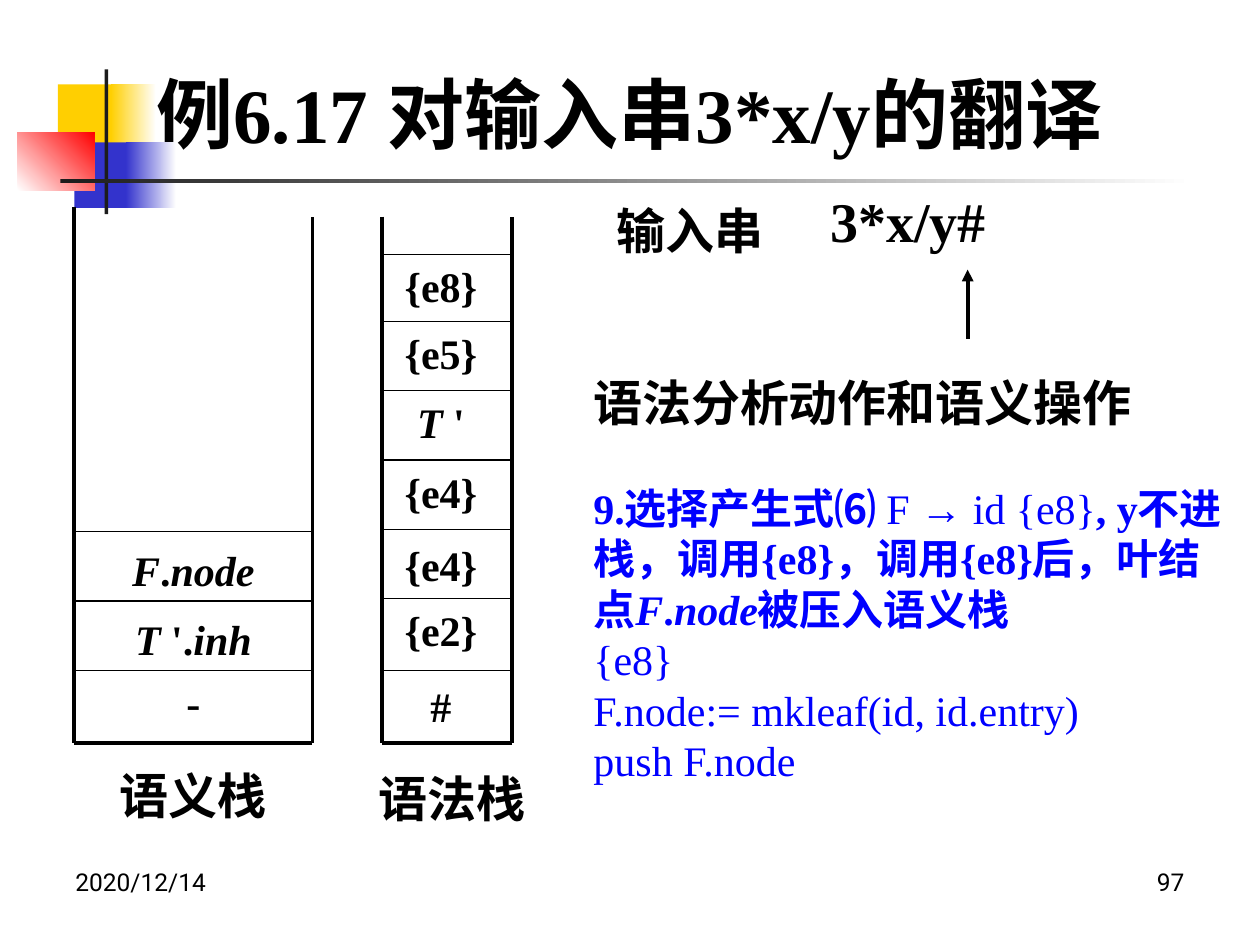
from lxml.etree import SubElement
from pptx import Presentation
from pptx.dml.color import RGBColor
from pptx.enum.shapes import MSO_CONNECTOR, MSO_SHAPE
from pptx.enum.text import MSO_ANCHOR, MSO_AUTO_SIZE, PP_ALIGN
from pptx.oxml.ns import qn
from pptx.util import Inches, Pt

BLACK = RGBColor(0x00, 0x00, 0x00)
WHITE = RGBColor(0xFF, 0xFF, 0xFF)
DARK = RGBColor(0x1C, 0x1C, 0x1C)
GOLD = RGBColor(0xFF, 0xCF, 0x01)
INDIGO = RGBColor(0x33, 0x33, 0xCC)
RED = RGBColor(0xFF, 0x00, 0x00)
BLUE = RGBColor(0x00, 0x00, 0xFF)

LEFT, MID, RIGHT = PP_ALIGN.LEFT, PP_ALIGN.CENTER, PP_ALIGN.RIGHT
FLOOR = 5.9


class Deck:
    """Style and current slide; every length is in inches."""

    def __init__(self):
        self.file = Presentation()
        self.file.slide_width = Inches(10)
        self.file.slide_height = Inches(7.5)
        self.slide = self.file.slides.add_slide(self.file.slide_layouts[1])
        self.shapes = self.slide.shapes

    def block(self, x, y, w, h, color, end=None, angle=0):
        """Draw a borderless bar, fading to the end colour if there is one."""
        bar = self.shapes.add_shape(MSO_SHAPE.RECTANGLE, Inches(x), Inches(y), Inches(w), Inches(h))
        bar.shadow.inherit = False
        bar.line.fill.background()
        if end is None:
            bar.fill.solid()
            bar.fill.fore_color.rgb = color
        else:
            bar.fill.gradient()
            bar.fill.gradient_angle = angle
            for stop, tint in zip(bar.fill.gradient_stops, (color, end)):
                stop.color.rgb = tint

    def line(self, x1, y1, x2, y2, width=2.25, arrow=False):
        link = self.shapes.add_connector(
            MSO_CONNECTOR.STRAIGHT, Inches(x1), Inches(y1), Inches(x2), Inches(y2))
        link.line.color.rgb = BLACK
        link.line.width = Pt(width)
        props = link._element.spPr
        if arrow:
            SubElement(props.find(qn("a:ln")), qn("a:headEnd"), type="triangle")
        SubElement(props, qn("a:effectLst"))

    def fill(self, box, paras, size, align=LEFT, color=BLACK, face="Times New Roman"):
        """Fill a shape with paragraphs of (text, marks) runs; marks hold b and i."""
        frame = box.text_frame
        frame.word_wrap = True
        frame.auto_size = MSO_AUTO_SIZE.NONE
        frame.vertical_anchor = MSO_ANCHOR.TOP
        for n, runs in enumerate(paras):
            para = frame.add_paragraph() if n else frame.paragraphs[0]
            para.alignment = align
            para.space_before = Pt(0)
            if box.is_placeholder:
                props = para._p.get_or_add_pPr()
                props.set("marL", "0")
                props.set("indent", "0")
                SubElement(props, qn("a:buNone"))
            for text, marks in runs:
                run = para.add_run()
                run.text = text
                font = run.font
                font.name, font.size = face, Pt(size)
                font.bold, font.italic = "b" in marks, "i" in marks
                font.color.rgb = color

    def place(self, box, x, y, w, h, paras, size, **style):
        """Move a placeholder, then fill it."""
        box.left, box.top = Inches(x), Inches(y)
        box.width, box.height = Inches(w), Inches(h)
        self.fill(box, paras, size, **style)

    def text(self, x, y, w, h, runs, size, **style):
        box = self.shapes.add_textbox(Inches(x), Inches(y), Inches(w), Inches(h))
        self.fill(box, [runs], size, **style)

    def stack(self, left, right, tops, label, width, cells):
        """Draw an open-topped stack; a cell is (rule y, label y, runs)."""
        self.line(left, tops[0], left, FLOOR)
        self.line(left, FLOOR, right, FLOOR)
        self.line(right, FLOOR, right, tops[1])
        for rule, y, runs in cells:
            self.line(left, rule, right, rule, 0.75)
            self.text(label, y, width, 0.5, runs, 24, align=MID)


def main():
    deck = Deck()

    deck.block(0.46, 0.67, 0.48, 0.52, GOLD)
    deck.block(0.88, 0.67, 0.36, 0.52, GOLD, WHITE)
    deck.block(0.59, 1.13, 0.46, 0.52, INDIGO)
    deck.block(1, 1.13, 0.4, 0.52, INDIGO, WHITE)
    deck.block(0.14, 1.05, 0.61, 0.46, WHITE, RED, 45)
    deck.block(0.83, 0.55, 0.03, 1.15, DARK)
    deck.block(0.48, 1.42, 9, 0.03, DARK, WHITE)

    title, body = deck.slide.placeholders
    deck.place(title, 1.14, 0.48, 8.66, 0.83, [[("例6.17 对输入串3*x/y的翻译", "b")]], 44)
    deck.place(body, 4.61, 3.78, 5.2, 2.52, [
        [("9.选择产生式⑹ ", "b"), ("F → id {e8}", ""),
         (", y不进栈，调用{e8}，调用{e8}后，叶结点", "b"),
         ("F", "bi"), (".", "b"), ("node", "bi"), ("被压入语义栈", "b")],
        [("{e8}", "")],
        [("F.node:= mkleaf(id, id.entry)", "")],
        [("push F.node", "")],
    ], 24, color=BLUE)

    deck.stack(0.59, 2.48, (1.64, 1.72), 0.67, 1.73, [
        (4.22, 4.27, [("F", "bi"), (".", "b"), ("node", "bi")]),
        (4.77, 4.82, [("T ", "bi"), ("'.", "b"), ("inh", "bi")]),
        (5.32, 5.32, [("-", "b")]),
    ])
    deck.stack(3.03, 4.06, (1.72, 1.72), 3.03, 0.94, [
        (2.02, 2.02, [("{e8}", "b")]),
        (2.55, 2.55, [("{e5}", "b")]),
        (3.1, 3.1, [("T ", "bi"), ("'", "b")]),
        (3.65, 3.65, [("{e4}", "b")]),
        (4.2, 4.23, [("{e4}", "b")]),
        (4.75, 4.75, [("{e2}", "b")]),
        (5.32, 5.35, [("#", "b")]),
    ])

    for x, y, name in ((0.67, 6.03, "语义栈"), (2.72, 6.05, "语法栈"), (4.61, 1.54, "输入串")):
        deck.text(x, y, 1.73, 0.57, [(name, "b")], 28, align=MID)
    deck.text(6.49, 1.43, 1.58, 0.63, [("3*x/y#", "b")], 32)
    deck.line(7.68, 2.14, 7.68, 2.69, arrow=True)
    deck.text(4.61, 2.91, 4.88, 0.57, [("语法分析动作和语义操作", "b")], 28)

    for x, note, align in ((0.5, "2020/12/14", LEFT), (7.17, "97", RIGHT)):
        deck.text(x, 6.83, 2.33, 0.52, [(note, "")], 14, align=align, face="Roboto")

    deck.file.save("out.pptx")


if __name__ == "__main__":
    main()
